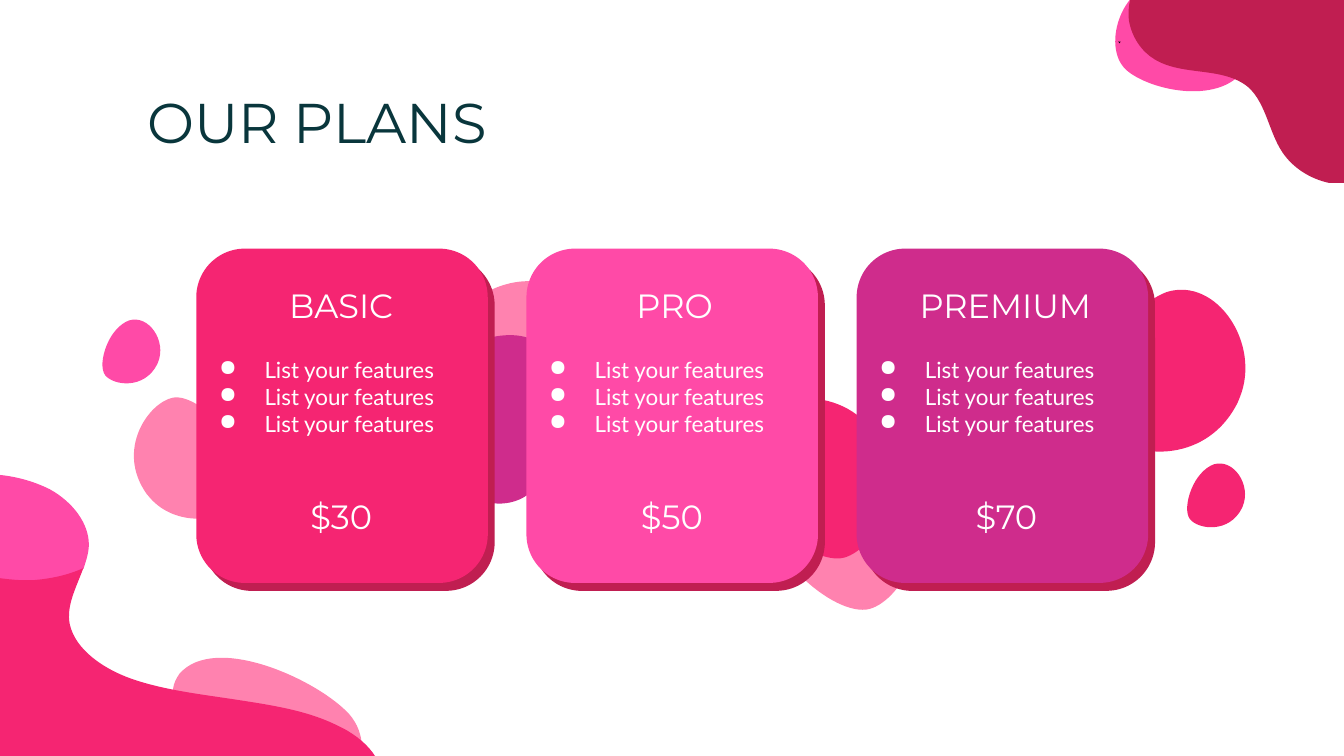
"""Build the pricing slide with three plan cards on a background of splashes."""
from lxml import etree
from pptx import Presentation
from pptx.dml.color import RGBColor
from pptx.enum.shapes import MSO_SHAPE
from pptx.enum.text import MSO_ANCHOR, PP_ALIGN
from pptx.oxml.ns import qn
from pptx.util import Cm, Pt

ROUNDED = MSO_SHAPE.ROUNDED_RECTANGLE
TOP, MIDDLE = MSO_ANCHOR.TOP, MSO_ANCHOR.MIDDLE
LEFT, CENTER = PP_ALIGN.LEFT, PP_ALIGN.CENTER

WHITE = RGBColor(0xFF, 0xFF, 0xFF)
INK = RGBColor(0x09, 0x36, 0x3C)
BLACK = RGBColor(0x02, 0x02, 0x03)
RED = RGBColor(0xF5, 0x25, 0x72)
CRIMSON = RGBColor(0xC0, 0x1E, 0x51)
PINK = RGBColor(0xFF, 0x4A, 0xA7)
ROSE = RGBColor(0xFF, 0x82, 0xAF)
PURPLE = RGBColor(0xCF, 0x2C, 0x8C)

DROP = (150, 101), [
    (77.5, 0.5), (34.5, 0.5, 0.5, 50.5, 25.5, 80.5),
    (38.5, 94.5, 61.5, 101.5, 84.5, 101.5),
    (108.5, 101.5, 131.5, 94.5, 138.5, 82.5),
    (150.5, 60.5, 135.5, 4.5, 81.5, 0.5),
    (80.5, 0.5, 79.5, 0.5, 77.5, 0.5)]
SPECK = (2, 1), [(0, 0), (0, 0, 1, 0, 1, 1), (1, 1, 2, 0, 2, 0)]
CAP = (70, 79), [
    (0, 0), (0, 77), (8, 78, 15, 79, 23, 79), (25, 79, 27, 79, 28, 79),
    (42, 78, 55, 75, 66, 70), (68, 64, 70, 58, 70, 52),
    (70, 37, 59, 21, 41, 11), (29, 5, 15, 1, 0, 0)]
WAVE = (293, 177), [
    (66, 0), (55, 5, 42, 8, 28, 9), (27, 9, 25, 9, 23, 9),
    (15, 9, 8, 8, 0, 7), (0, 177), (281, 177),
    (285, 173, 287, 168, 288, 163), (292, 145, 277, 127, 255, 117),
    (233, 106, 207, 102, 181, 98), (155, 94, 128, 91, 104, 83),
    (80, 75, 60, 60, 56, 42), (53, 28, 61, 14, 66, 0)]
CORNER = (175, 151), [
    (9, 0), (2, 9, 0, 20, 1, 30), (3, 42, 10, 53, 20, 59),
    (41, 72, 71, 64, 90, 80), (103, 92, 105, 113, 115, 128),
    (123, 140, 136, 148, 150, 151), (153, 151, 156, 151, 158, 151),
    (164, 151, 169, 151, 175, 149), (175, 0)]

BIG, SMALL = (3.81, 2.57), (1.5, 1.02)
SPLASHES = [
    (DROP, 3.51, 11.94, (2.84, 3.84), 302.5, ROSE),
    (DROP, 21.18, -0.64, (2.51, 2.57), 112.4, PINK),
    (SPECK, 21.13, 0.79, (0.05, 0.03), 0, BLACK),
    (CAP, -0.1, 8.97, (1.78, 2.01), 0, PINK),
    (WAVE, -0.1, 10.74, (7.44, 4.5), 0, RED),
    (CORNER, 21.31, -0.38, (4.45, 3.84), 0, CRIMSON),
    (DROP, 2.16, 7.87, (2.84, 1.91), 230, ROSE),
    (DROP, 20.37, 5.69, BIG, 112.4, RED),
    (DROP, 13.97, 8.51, BIG, 45, ROSE),
    (DROP, 13.49, 7.54, BIG, 45, RED),
    (DROP, 7.72, 5.74, BIG, 270, ROSE),
    (DROP, 7.37, 6.76, BIG, 270, PURPLE),
    (DROP, 22.28, 8.84, SMALL, 112.4, RED),
    (DROP, 1.78, 6.12, SMALL, 112.4, PINK),
]
PLANS = [
    ("BASIC", 3.91, "$30", 3.91, RED),
    ("PRO", 10.21, "$50", 10.16, PINK),
    ("PREMIUM", 16.46, "$70", 16.48, PURPLE),
]
FEATURES = ["List your features"] * 3
CARD_X, CARD_Y, PITCH = 3.71, 4.7, 6.24


class Deck:
    """Hold the text style and the current slide."""

    heading, body = "Montserrat", "Lato"

    def __init__(self, s):
        self.s = s

    def paint(self, sp, color):
        sp.shadow.inherit = False
        sp.fill.solid()
        sp.fill.fore_color.rgb = color
        sp.line.fill.background()

    def splash(self, outline, x, y, size, rotation, color):
        grid, segments = outline
        w, h = (Cm(v) for v in size)
        builder = self.s.shapes.build_freeform(0, 0)
        builder.add_line_segments([(w, 0), (w, h), (0, h)])
        sp = builder.convert_to_shape(Cm(x), Cm(y))
        curve = sp.element.find(".//" + qn("a:path"))
        for child in list(curve):
            curve.remove(child)
        curve.set("w", str(grid[0] * 100))
        curve.set("h", str(grid[1] * 100))
        for i, seg in enumerate(segments):
            tag = "a:cubicBezTo" if len(seg) == 6 else "a:lnTo" if i else "a:moveTo"
            node = etree.SubElement(curve, qn(tag))
            for px, py in zip(seg[::2], seg[1::2]):
                etree.SubElement(node, qn("a:pt"), x=str(int(px * 100)), y=str(int(py * 100)))
        etree.SubElement(curve, qn("a:close"))
        sp.rotation = rotation
        self.paint(sp, color)

    def card(self, x, y, color):
        for shift_x, shift_y, fill in ((0.13, 0.15, CRIMSON), (0, 0, color)):
            sp = self.s.shapes.add_shape(
                ROUNDED, Cm(x + shift_x), Cm(y + shift_y), Cm(5.51), Cm(6.32))
            sp.adjustments[0] = 0.167
            self.paint(sp, fill)

    def text(self, lines, x, y, w, h, size, font, color=WHITE,
             align=LEFT, anchor=TOP, bullets=False):
        tf = self.s.shapes.add_textbox(Cm(x), Cm(y), Cm(w), Cm(h)).text_frame
        tf.word_wrap = True
        tf.vertical_anchor = anchor
        tf.margin_left = tf.margin_right = tf.margin_top = tf.margin_bottom = Cm(0.25)
        tf.text = "\n".join(lines)
        for p in tf.paragraphs:
            p.alignment = align
            if bullets:
                self.bullet(p)
            r = p.runs[0]
            r.font.name, r.font.size = font, Pt(size)
            r.font.color.rgb = color

    def bullet(self, p):
        pPr = p._p.get_or_add_pPr()
        pPr.set("marL", str(Cm(1.27)))
        pPr.set("indent", str(Cm(-0.86)))
        clr = etree.SubElement(pPr, qn("a:buClr"))
        etree.SubElement(clr, qn("a:srgbClr"), val=str(WHITE))
        etree.SubElement(pPr, qn("a:buChar"), char="●")

    def label(self, text, x, y):
        self.text([text], x, y, 5.08, 1.27, 18, self.heading, align=CENTER, anchor=MIDDLE)


def main():
    prs = Presentation()
    prs.slide_width, prs.slide_height = Cm(25.4), Cm(14.29)
    deck = Deck(prs.slides.add_slide(prs.slide_layouts[6]))
    for splash in SPLASHES:
        deck.splash(*splash)
    deck.text(["OUR PLANS"], 2.54, 1.4, 20.27, 1.6, 30, deck.heading, INK)
    for i, (name, name_x, price, price_x, color) in enumerate(PLANS):
        x = CARD_X + i * PITCH
        deck.card(x, CARD_Y, color)
        deck.text(FEATURES, x - 0.23, 6.48, 5.97, 2.49, 12, deck.body, bullets=True)
        deck.label(name, name_x, 5.13)
        deck.label(price, price_x, 9.12)
    prs.save("out.pptx")


if __name__ == "__main__":
    main()
